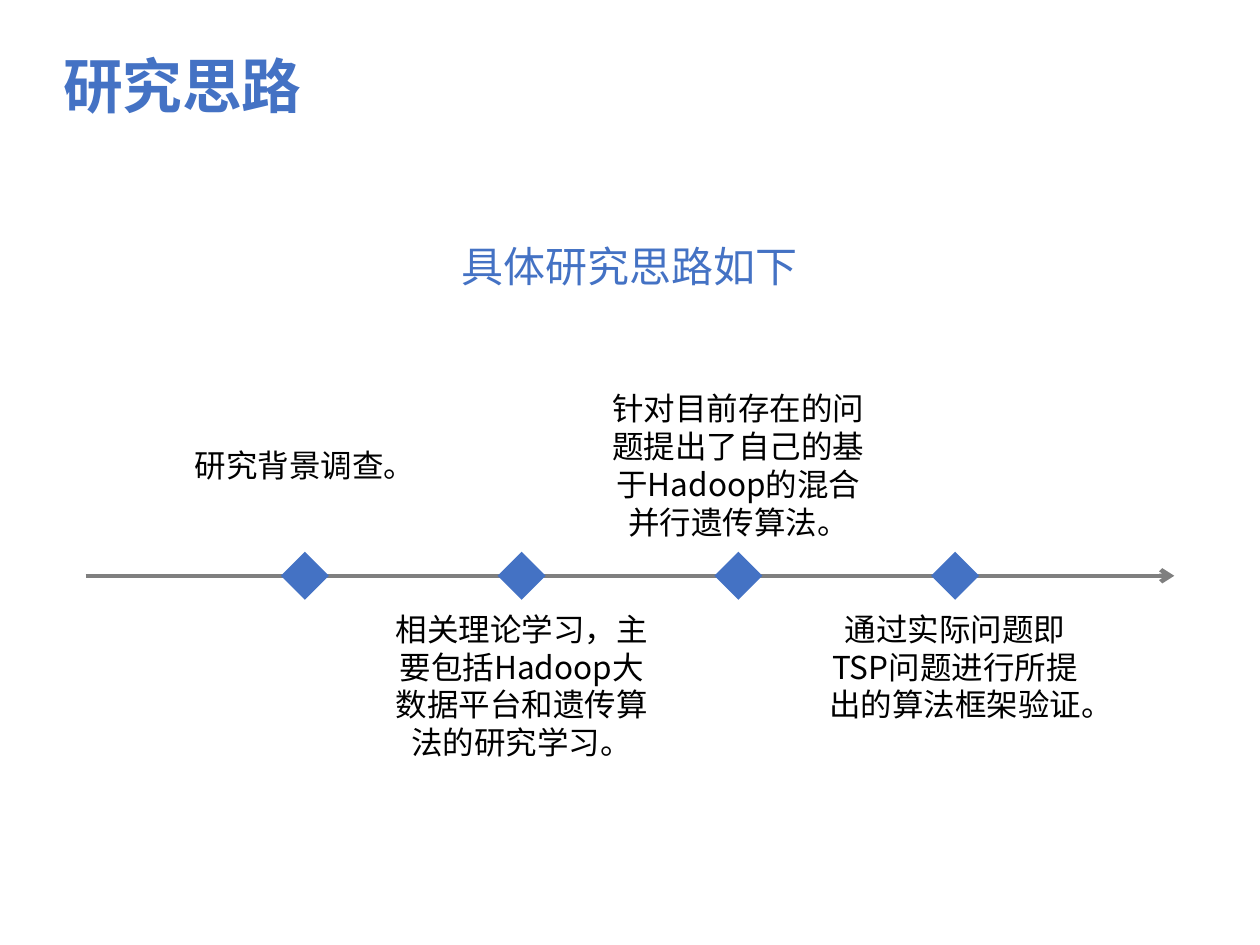
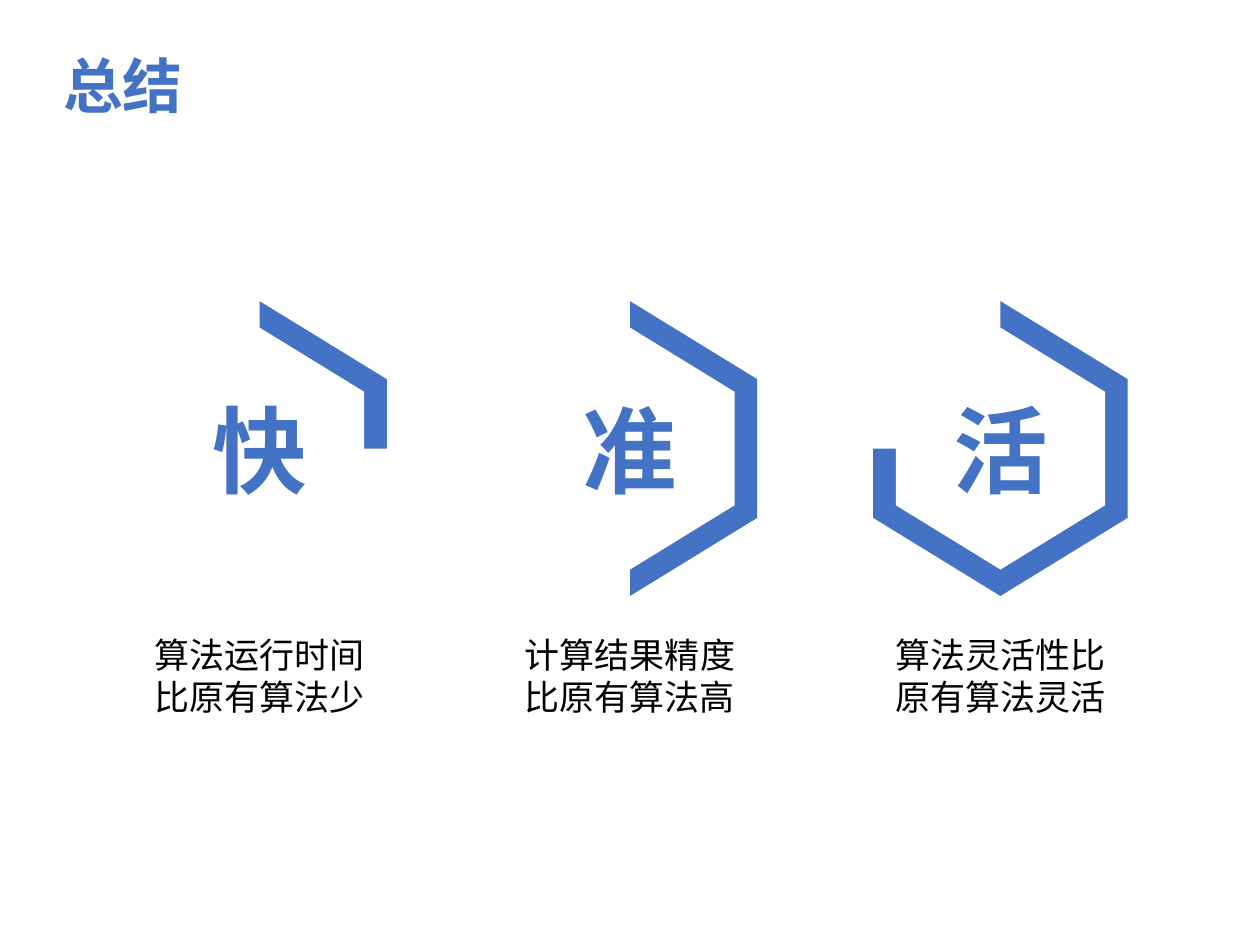
from lxml import etree
from pptx import Presentation
from pptx.dml.color import RGBColor
from pptx.enum.shapes import MSO_CONNECTOR, MSO_SHAPE
from pptx.enum.text import MSO_ANCHOR, MSO_AUTO_SIZE, PP_ALIGN
from pptx.oxml.ns import qn
from pptx.util import Inches, Pt

STRAIGHT = MSO_CONNECTOR.STRAIGHT
SQUARE, HEXAGON = MSO_SHAPE.RECTANGLE, MSO_SHAPE.HEXAGON
LEFT, CENTER = PP_ALIGN.LEFT, PP_ALIGN.CENTER
TOP, MIDDLE = MSO_ANCHOR.TOP, MSO_ANCHOR.MIDDLE
NO_AUTOFIT = MSO_AUTO_SIZE.NONE

WIDTH, HEIGHT = 10, 7.5
FONT = "Noto Sans CJK SC"
BLUE, GREY, BLACK, WHITE = "4472C4", "7F7F7F", "000000", "FFFFFF"
TITLE_ONLY = 5

# Timeline: axis height, first milestone and step between milestones
AXIS_Y, AXIS_MARGIN = 4.57, 0.68
MILESTONE_X, MILESTONE_STEP, MARKER_SIDE = 2.42, 1.72, 0.27
MILESTONES = [
    (3.49, "研究背景调查。"),
    (4.79, "相关理论学习，主要包括Hadoop大数据平台和遗传算法的研究学习。"),
    (3.04, "针对目前存在的问题提出了自己的基于Hadoop的混合并行遗传算法。"),
    (4.79, "通过实际问题即TSP问题进行所提出的算法框架验证。"),
]

# Hexagon rings: centre of each ring and half sizes
RING_STEP, RING_Y = 2.94, 3.56
RING_HALF_WIDTH, RING_HALF_HEIGHT, RING_SIDE = 1.01, 1.17, 0.55
CORNERS = [
    (0, -RING_HALF_HEIGHT), (RING_HALF_WIDTH, -RING_SIDE),
    (RING_HALF_WIDTH, RING_SIDE), (0, RING_HALF_HEIGHT),
    (-RING_HALF_WIDTH, RING_SIDE),
]
CONCLUSIONS = [
    ("快", "算法运行时间比原有算法少", CORNERS[:2] + [(RING_HALF_WIDTH, 0), (0, 0)]),
    ("准", "计算结果精度比原有算法高", CORNERS[:4]),
    ("活", "算法灵活性比原有算法灵活", CORNERS + [(-RING_HALF_WIDTH, 0), (0, 0)]),
]


def rgb(color):
    return RGBColor.from_string(color)


def write(shape, text, size=18, color=BLACK, bold=False, align=CENTER, anchor=TOP):
    frame = shape.text_frame
    frame.word_wrap = True
    frame.auto_size = NO_AUTOFIT
    frame.vertical_anchor = anchor
    paragraph = frame.paragraphs[0]
    paragraph.alignment = align
    run = paragraph.add_run()
    run.text = text
    font = run.font
    font.size, font.bold, font.name = Pt(size), bold, FONT
    font.color.rgb = rgb(color)
    properties = run._r.get_or_add_rPr()
    properties.set("lang", "zh-CN")
    etree.SubElement(properties, qn("a:ea")).set("typeface", FONT)


def add_text(slide, text, center_x, top, width, height, **style):
    box = slide.shapes.add_textbox(
        Inches(center_x - width / 2), Inches(top), Inches(width), Inches(height))
    write(box, text, **style)


def paint(shape, color):
    shape.shadow.inherit = False
    shape.fill.solid()
    shape.fill.fore_color.rgb = rgb(color)
    shape.line.fill.background()


def add_rotated(slide, preset, center_x, center_y, width, height, angle, color):
    shape = slide.shapes.add_shape(
        preset, Inches(center_x - width / 2), Inches(center_y - height / 2),
        Inches(width), Inches(height))
    shape.rotation = angle
    paint(shape, color)
    return shape


def add_titled_slide(deck, title):
    slide = deck.slides.add_slide(deck.slide_layouts[TITLE_ONLY])
    heading = slide.shapes.title
    heading.left, heading.top = Inches(0.4), Inches(0.32)
    heading.width, heading.height = Inches(8.03), Inches(0.71)
    write(heading, title, size=34.1, color=BLUE, bold=True, align=LEFT, anchor=MIDDLE)
    return slide


def add_axis(slide):
    axis = slide.shapes.add_connector(
        STRAIGHT, Inches(AXIS_MARGIN), Inches(AXIS_Y),
        Inches(WIDTH - AXIS_MARGIN), Inches(AXIS_Y))
    axis.line.color.rgb = rgb(GREY)
    axis.line.width = Pt(2.5)
    etree.SubElement(axis.line._get_or_add_ln(), qn("a:tailEnd")).set("type", "arrow")
    etree.SubElement(axis._element.spPr, qn("a:effectLst"))


def add_ring(slide, center_x, sector):
    """Draw the part of a hexagon ring that the sector covers."""
    points = [(Inches(center_x + x), Inches(RING_Y + y)) for x, y in sector]
    builder = slide.shapes.build_freeform(*points[0])
    builder.add_line_segments(points[1:], close=True)
    paint(builder.convert_to_shape(), BLUE)
    hole = add_rotated(slide, HEXAGON, center_x, RING_Y, 1.92, 1.66, 90, WHITE)
    hole.adjustments[0] = 0.307


def build_timeline(deck):
    slide = add_titled_slide(deck, "研究思路")
    add_text(slide, "具体研究思路如下", WIDTH / 2, 1.86, 8.58, 0.5, size=24, color=BLUE)
    add_axis(slide)
    for index, (top, step) in enumerate(MILESTONES):
        x = MILESTONE_X + index * MILESTONE_STEP
        add_rotated(slide, SQUARE, x, AXIS_Y, MARKER_SIDE, MARKER_SIDE, 45, BLUE)
        add_text(slide, step, x, top, 2.24, 0.4 if index == 0 else 1.3)


def build_summary(deck):
    slide = add_titled_slide(deck, "总结")
    for index, (keyword, conclusion, sector) in enumerate(CONCLUSIONS):
        x = WIDTH / 2 + (index - 1) * RING_STEP
        add_ring(slide, x, sector)
        add_text(slide, keyword, x, 3.06, 1.05, 1, size=54, color=BLUE, bold=True)
        add_text(slide, conclusion, x, 4.98, 2.04, 0.77, size=20)


def main():
    deck = Presentation()
    deck.slide_width, deck.slide_height = Inches(WIDTH), Inches(HEIGHT)
    build_timeline(deck)
    build_summary(deck)
    deck.save("out.pptx")


if __name__ == "__main__":
    main()
